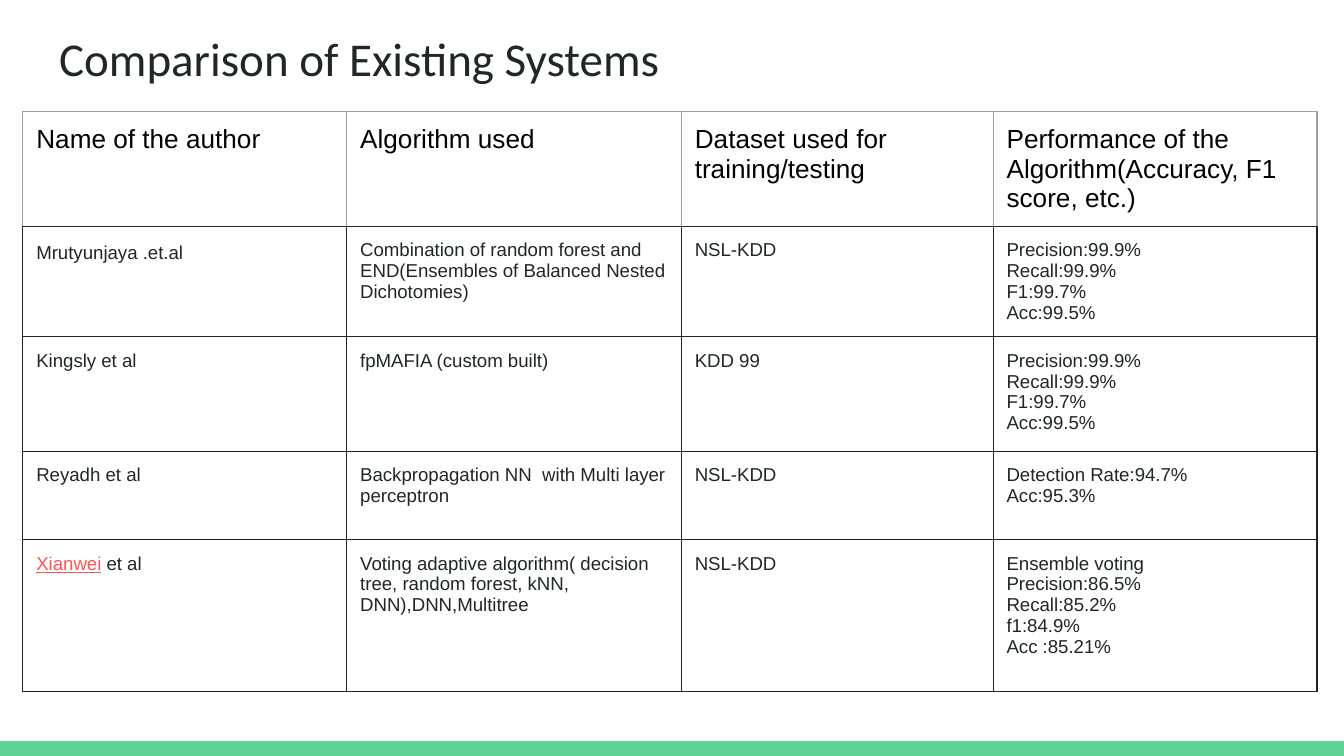
from typing import NamedTuple

from lxml.etree import SubElement
from pptx import Presentation
from pptx.dml.color import RGBColor
from pptx.enum.shapes import MSO_SHAPE as Shape
from pptx.enum.text import MSO_ANCHOR as Anchor, MSO_AUTO_SIZE as Fit, PP_ALIGN as Align
from pptx.oxml.ns import qn
from pptx.util import Inches, Pt

INK = RGBColor(0x20, 0x27, 0x29)
BLACK = RGBColor(0x00, 0x00, 0x00)
GRAY = RGBColor(0x9E, 0x9E, 0x9E)
GREEN = RGBColor(0x63, 0xD2, 0x97)
RED = RGBColor(0xFF, 0x52, 0x52)

WIDE = Inches(10)
HIGH = WIDE * 9 // 16
PAD = Inches(0.1)
WIDTHS = [2.41, 2.49, 2.32, 2.41]
HEIGHTS = [0.85, 0.82, 0.85, 0.66, 1.13]


class Study(NamedTuple):
    author: str
    method: str
    data: str
    scores: str
    marked: str = ""  # start of the author's name shown in red
    spacing: float = 1.0


HEADS = ["Name of the author", "Algorithm used", "Dataset used for training/testing",
         "Performance of the Algorithm(Accuracy, F1 score, etc.)"]
SCORES = "Precision:99.9%\nRecall:99.9%\nF1:99.7%\nAcc:99.5%"
STUDIES = [
    Study("Mrutyunjaya .et.al",
          "Combination of random forest and END(Ensembles of Balanced Nested Dichotomies)",
          "NSL-KDD", SCORES, spacing=1.15),
    Study("Kingsly et al", "fpMAFIA (custom built)", "KDD 99", SCORES),
    Study("Reyadh et al", "Backpropagation NN  with Multi layer perceptron",
          "NSL-KDD", "Detection Rate:94.7%\nAcc:95.3%"),
    Study(" et al",
          "Voting adaptive algorithm( decision tree, random forest, kNN, DNN),DNN,Multitree",
          "NSL-KDD",
          "Ensemble voting\nPrecision:86.5%\nRecall:85.2%\nf1:84.9%\nAcc :85.21%",
          marked="Xianwei"),
]


def write(frame, text: str, *, size: float = 10, color: RGBColor = INK,
          font: str = "Arial", spacing: float = 1.0, marked: str = "") -> None:
    """Fill a text frame, one paragraph a line, after an optional red lead."""
    for i, line in enumerate(text.split("\n")):
        para = frame.add_paragraph() if i else frame.paragraphs[0]
        para.alignment = Align.LEFT
        para.line_spacing = spacing
        lead = marked if i == 0 else ""
        for part, tint in ((lead, RED), (line, color)):
            if not part:
                continue
            run = para.add_run()
            run.text = part
            run.font.name, run.font.size = font, Pt(size)
            run.font.color.rgb = tint
            run.font.underline = tint == RED


def pad(box) -> None:
    box.margin_left = box.margin_right = PAD
    box.margin_top = box.margin_bottom = PAD


def edge(cell, side: RGBColor, base: RGBColor) -> None:
    """Draw the cell's borders, with the bottom one in its own colour."""
    props = cell._tc.get_or_add_tcPr()
    for i, (tag, color) in enumerate(
            [("a:lnL", side), ("a:lnR", side), ("a:lnT", side), ("a:lnB", base)]):
        line = SubElement(props, qn(tag), w=str(Pt(0.75)))
        fill = SubElement(line, qn("a:solidFill"))
        SubElement(fill, qn("a:srgbClr"), val=str(color))
        props.insert(i, line)


def add_title(slide, text: str) -> None:
    title = slide.shapes.title
    title.left, title.top = Inches(0.34), Inches(0.12)
    title.width, title.height = Inches(9.32), Inches(0.49)
    frame = title.text_frame
    pad(frame)
    frame.word_wrap = True
    frame.auto_size = Fit.NONE
    frame.vertical_anchor = Anchor.TOP
    write(frame, text, size=25.2, font="Calibri")


def add_bar(slide) -> None:
    tall = Inches(0.11)
    bar = slide.shapes.add_shape(Shape.RECTANGLE, 0, HIGH - tall, WIDE, tall)
    bar.shadow.inherit = False
    bar.fill.solid()
    bar.fill.fore_color.rgb = GREEN
    bar.line.fill.background()


def add_grid(slide) -> None:
    table = slide.shapes.add_table(
        len(HEIGHTS), len(WIDTHS), Inches(0.17), Inches(0.83),
        Inches(sum(WIDTHS)), Inches(sum(HEIGHTS))).table
    table.first_row = table.horz_banding = False
    for col, width in zip(table.columns, WIDTHS):
        col.width = Inches(width)
    for row, height in zip(table.rows, HEIGHTS):
        row.height = Inches(height)
    for cell in table.iter_cells():
        pad(cell)
        cell.fill.background()

    for c, head in enumerate(HEADS):
        cell = table.cell(0, c)
        write(cell.text_frame, head, size=14, color=BLACK)
        edge(cell, GRAY, INK)
    for r, study in enumerate(STUDIES, 1):
        for c, text in enumerate(study[:4]):
            cell = table.cell(r, c)
            look = {} if c else {"marked": study.marked, "spacing": study.spacing}
            write(cell.text_frame, text, **look)
            edge(cell, INK, INK)


def main() -> None:
    deck = Presentation()
    deck.slide_width, deck.slide_height = WIDE, HIGH
    slide = deck.slides.add_slide(deck.slide_layouts[5])
    add_bar(slide)
    add_title(slide, "Comparison of Existing Systems")
    add_grid(slide)
    deck.save("out.pptx")


if __name__ == "__main__":
    main()
